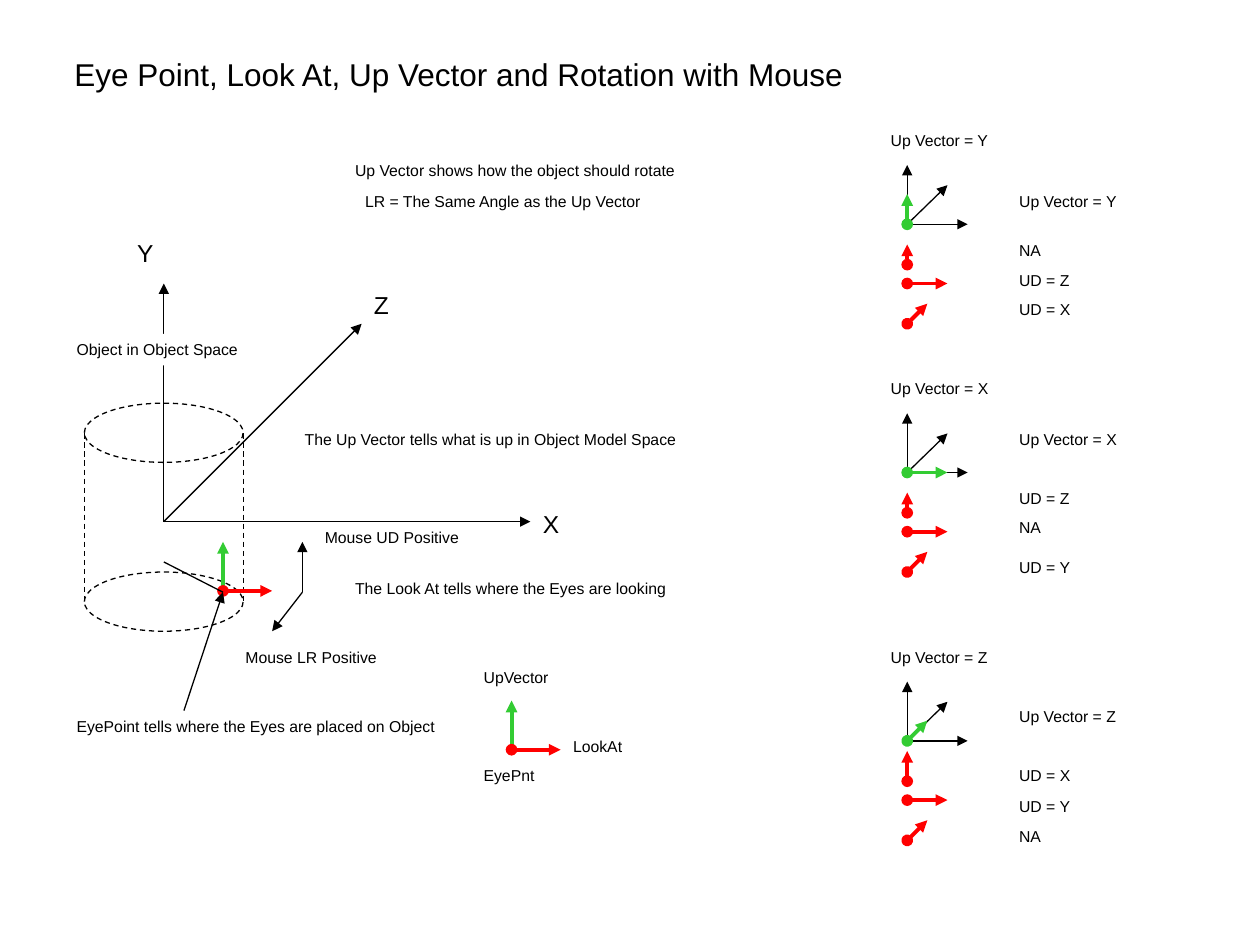
from lxml import etree
from pptx import Presentation
from pptx.dml.color import RGBColor
from pptx.enum.dml import MSO_LINE
from pptx.enum.shapes import MSO_CONNECTOR, MSO_SHAPE
from pptx.enum.text import MSO_ANCHOR, MSO_AUTO_SIZE, PP_ALIGN
from pptx.oxml.ns import qn
from pptx.util import Inches, Pt

STRAIGHT = MSO_CONNECTOR.STRAIGHT
ELLIPSE = MSO_SHAPE.OVAL
DASH = MSO_LINE.DASH
TOP = MSO_ANCHOR.TOP
LEFT = PP_ALIGN.LEFT
FIT_SHAPE = MSO_AUTO_SIZE.SHAPE_TO_FIT_TEXT
BLACK = RGBColor(0x00, 0x00, 0x00)
WHITE = RGBColor(0xFF, 0xFF, 0xFF)
GREEN = RGBColor(0x33, 0xCC, 0x33)
RED = RGBColor(0xFF, 0x00, 0x00)

deck = Presentation()
deck.slide_width = Inches(10)
deck.slide_height = Inches(7.5)
page = deck.slides.add_slide(deck.slide_layouts[5])


def add_text(text, left, top, width, height=0.25, size=9, fill=None, box=None):
    if box is None:
        box = page.shapes.add_textbox(0, 0, 0, 0)
    box.left, box.top = Inches(left), Inches(top)
    box.width, box.height = Inches(width), Inches(height)
    if fill is not None:
        box.fill.solid()
        box.fill.fore_color.rgb = fill
    frame = box.text_frame
    frame.word_wrap = False
    frame.auto_size = FIT_SHAPE
    frame.vertical_anchor = TOP
    para = frame.paragraphs[0]
    para.alignment = LEFT
    span = para.add_run()
    span.text = text
    span.font.name = "Arial"
    span.font.size = Pt(size)
    span.font.color.rgb = BLACK


def add_line(start, end, color=BLACK, weight=0.75, head=None, tail="triangle",
             dash=None, shapes=page.shapes):
    line = shapes.add_connector(STRAIGHT, *map(Inches, start + end))
    line.line.color.rgb = color
    line.line.width = Pt(weight)
    if dash is not None:
        line.line.dash_style = dash
    outline = line._element.spPr.find(qn("a:ln"))
    for tag, kind in (("a:headEnd", head), ("a:tailEnd", tail)):
        if kind:
            etree.SubElement(outline, qn(tag)).set("type", kind)
    etree.SubElement(line._element.spPr, qn("a:effectLst"))


add_text("Eye Point, Look At, Up Vector and Rotation with Mouse",
         0.49, 0.39, 6.33, 0.4, size=18, box=page.shapes.title)

origin = (1.3, 4.14)
for name, tip, left, top in (
    ("Y", (1.3, 2.25), 0.99, 1.84),
    ("X", (4.21, 4.14), 4.21, 3.99),
    ("Z", (2.87, 2.57), 2.87, 2.25),
):
    add_line(origin, tip)
    add_text(name, left, top, 0.33, 0.34, size=14)

for top in (3.2, 4.54):
    rim = page.shapes.add_shape(ELLIPSE, Inches(0.67), Inches(top), Inches(1.26), Inches(0.47))
    rim.shadow.inherit = False
    rim.fill.background()
    rim.line.color.rgb = BLACK
    rim.line.width = Pt(0.75)
    rim.line.dash_style = DASH
for side in (0.67, 1.93):
    add_line((side, 3.44), (side, 4.77), tail=None, dash=DASH)
add_text("Object in Object Space", 0.51, 2.65, 1.48, fill=WHITE)

for x, y in ((4.06, 5.95), (1.77, 4.69)):
    add_line((x, y), (x, y - 0.39), GREEN, 2.25)
    add_line((x, y), (x + 0.39, y), RED, 2.25, head="oval")

add_line((2.4, 4.7), (2.16, 5.01))
add_line((2.4, 4.7), (2.4, 4.3))
add_line((1.77, 4.7), (1.3, 4.46), tail=None)
add_line((1.46, 5.64), (1.77, 4.7))

for text, left, top, width in (
    ("LookAt", 4.45, 5.8, 0.59),
    ("UpVector", 3.74, 5.25, 0.72),
    ("EyePnt", 3.74, 6.03, 0.6),
    ("Mouse LR Positive", 1.85, 5.09, 1.24),
    ("Mouse UD Positive", 2.48, 4.14, 1.26),
    ("EyePoint tells where the Eyes are placed on Object", 0.51, 5.64, 3.04),
    ("The Up Vector tells what is up in Object Model Space", 2.32, 3.36, 3.15),
    ("The Look At tells where the Eyes are looking", 2.72, 4.54, 2.67),
    ("Up Vector shows how the object should rotate", 2.72, 1.23, 2.74),
    ("LR = The Same Angle as the Up Vector", 2.8, 1.47, 2.4),
):
    add_text(text, left, top, width)

x = 7.2
for axis, y, up_tip, look_up, label_top, results in (
    ("Y", 1.78, (0, -0.24), 0.16, 1.47, (("NA", 1.86), ("UD = Z", 2.1), ("UD = X", 2.33))),
    ("X", 3.75, (0.32, 0), 0.16, 3.36, (("UD = Z", 3.83), ("NA", 4.06), ("UD = Y", 4.38))),
    ("Z", 5.88, (0.16, -0.16), 0.24, 5.56, (("UD = X", 6.03), ("UD = Y", 6.27), ("NA", 6.51))),
):
    axes = page.shapes.add_group_shape()
    for dx, dy in ((0, -0.47), (0.48, 0), (0.32, -0.31)):
        add_line((x, y), (x + dx, y + dy), shapes=axes.shapes)
    add_line((x, y), (x + up_tip[0], y + up_tip[1]), GREEN, 2.25, head="oval")
    for drop, dx, dy in ((0.32, 0, -look_up), (0.47, 0.32, 0), (0.79, 0.16, -0.16)):
        add_line((x, y + drop), (x + dx, y + drop + dy), RED, 2.25, head="oval")
    add_text(f"Up Vector = {axis}", 6.97, y - 0.79, 0.98)
    add_text(f"Up Vector = {axis}", 7.99, label_top, 0.98)
    for text, top in results:
        add_text(text, 7.99, top, 0.4 if text == "NA" else 0.63)

deck.save("out.pptx")
